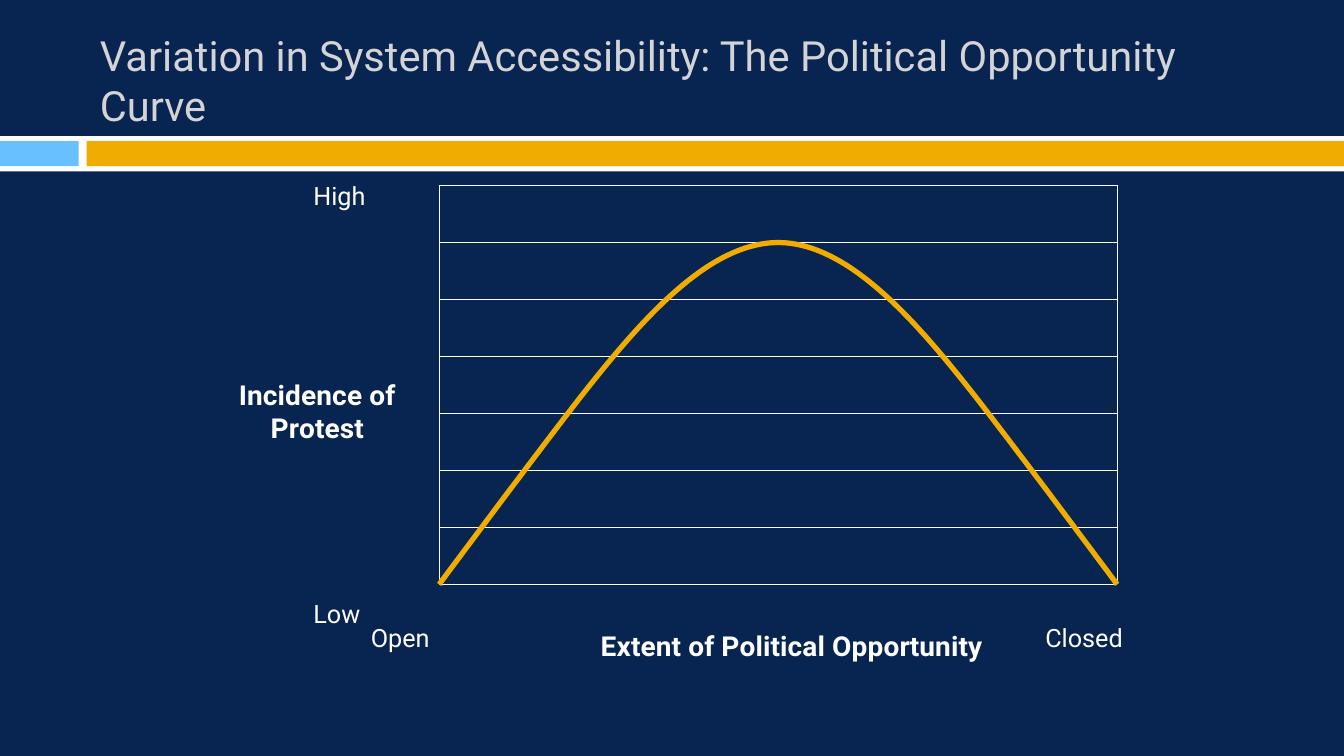
from pptx import Presentation
from pptx.chart.data import XyChartData
from pptx.dml.color import RGBColor as Rgb
from pptx.enum.chart import XL_CHART_TYPE as Kind, XL_MARKER_STYLE as Mark
from pptx.enum.shapes import MSO_SHAPE as Shape
from pptx.enum.text import MSO_ANCHOR as Anchor, MSO_AUTO_SIZE as Fit, PP_ALIGN as Align
from pptx.oxml import parse_xml
from pptx.oxml.ns import nsdecls, qn
from pptx.util import Inches, Pt

WIDE, HIGH = Inches(13.33), Inches(7.5)
FONT = "Roboto"
HUES = {"navy": "082551", "white": "FFFFFF", "sky": "69C0FF",
        "gold": "F0AD00", "grey": "D4D4D6"}
PROTEST = [0, 44, 83, 100, 83, 44, 0]
STEP = 16.67


def hue(name):
    return Rgb.from_string(HUES[name])


def place(x, y, w, h):
    """Turn percentages of the slide's size into lengths."""
    return [round(side * part / 100)
            for side, part in zip((WIDE, HIGH, WIDE, HIGH), (x, y, w, h))]


def style(font, size, tint="white", bold=False):
    font.name, font.size, font.bold = FONT, Pt(size), bold
    font.color.rgb = hue(tint)


def add_title(slide, text):
    title = slide.shapes.title
    title.left, title.top, title.width, title.height = place(6.68, 3.33, 89.2, 14.4)
    frame = title.text_frame
    frame.text = text
    frame.word_wrap, frame.auto_size = True, Fit.NONE
    frame.vertical_anchor = Anchor.MIDDLE
    para = frame.paragraphs[0]
    para.alignment = Align.LEFT
    style(para.runs[0].font, 29.7, "grey")


def add_bar(slide, tint, *box):
    bar = slide.shapes.add_shape(Shape.RECTANGLE, *place(*box))
    bar.shadow.inherit = False
    bar.fill.solid()
    bar.fill.fore_color.rgb = hue(tint)
    bar.line.fill.background()


def add_label(slide, text, x, y, w=6.2):
    frame = slide.shapes.add_textbox(*place(x, y, w, 5.33)).text_frame
    frame.text = text
    frame.word_wrap, frame.auto_size = True, Fit.SHAPE_TO_FIT_TEXT
    style(frame.paragraphs[0].runs[0].font, 18)


def set_layout(host, spot, inner=False, **parts):
    """Pin a chart part at shares of the chart's size."""
    old = host.find(qn("c:layout"))
    if old is not None:
        host.remove(old)
    target = '<c:layoutTarget val="inner"/>' if inner else ""
    modes = '<c:xMode val="edge"/><c:yMode val="edge"/>'
    sizes = "".join(f'<c:{key} val="{part}"/>' for key, part in parts.items())
    host.insert(spot, parse_xml(
        f'<c:layout {nsdecls("c")}><c:manualLayout>{target}{modes}{sizes}'
        '</c:manualLayout></c:layout>'))


def set_axis(axis, top, step, text, x, y):
    axis.minimum_scale, axis.maximum_scale, axis.major_unit = 0, top, step
    axis.has_major_gridlines = True
    line = axis.major_gridlines.format.line
    line.color.rgb, line.width = hue("white"), Pt(0.75)
    frame = axis.axis_title.text_frame
    frame.text = text
    frame._txBody.bodyPr.set("rot", "0")
    for para in frame.paragraphs:
        para.alignment = Align.CENTER
        for run in para.runs:
            style(run.font, 20, bold=True)
    set_layout(axis.axis_title._element, 1, x=x, y=y)
    axis.visible = False


def add_curve(slide):
    data = XyChartData()
    points = data.add_series("Series 1")
    for x, y in enumerate(PROTEST):
        points.add_data_point(x, y)
    chart = slide.shapes.add_chart(
        Kind.XY_SCATTER_SMOOTH_NO_MARKERS, *place(17.55, 23.33, 66.92, 65.6), data).chart
    chart.has_legend = chart.has_title = False
    style(chart.font, 18)
    plot = chart.plots[0]
    plot.vary_by_categories = False
    curve = plot.series[0]
    curve.marker.style = Mark.NONE
    curve.format.line.color.rgb = hue("gold")
    curve.format.line.width = Pt(3.75)
    curve._element.find(qn("c:smooth")).set("val", "1")
    end = len(PROTEST) - 1
    set_axis(chart.category_axis, end, end, "Extent of Political Opportunity", 0.4, 0.92)
    set_axis(chart.value_axis, 7 * STEP, STEP, "Incidence of\nProtest", 0.0, 0.41)
    set_layout(chart._chartSpace.chart.plotArea, 0, inner=True,
               x=0.226, y=0.019, w=0.754, h=0.822)


def main():
    deck = Presentation()
    deck.slide_width, deck.slide_height = WIDE, HIGH
    slide = deck.slides.add_slide(deck.slide_layouts[5])
    back = slide.background.fill
    back.solid()
    back.fore_color.rgb = hue("navy")
    add_bar(slide, "white", 0, 18, 100, 4.67)
    add_bar(slide, "sky", 0, 18.67, 5.85, 3.33)
    add_bar(slide, "gold", 6.45, 18.67, 93.55, 3.33)
    add_title(slide, "Variation in System Accessibility: The Political Opportunity Curve")
    add_curve(slide)
    add_label(slide, "Open", 26.86, 81.6)
    add_label(slide, "Closed", 77.04, 81.6, 7.35)
    add_label(slide, "High", 22.58, 23.2)
    add_label(slide, "Low", 22.58, 78.53)
    deck.save("out.pptx")


if __name__ == "__main__":
    main()
